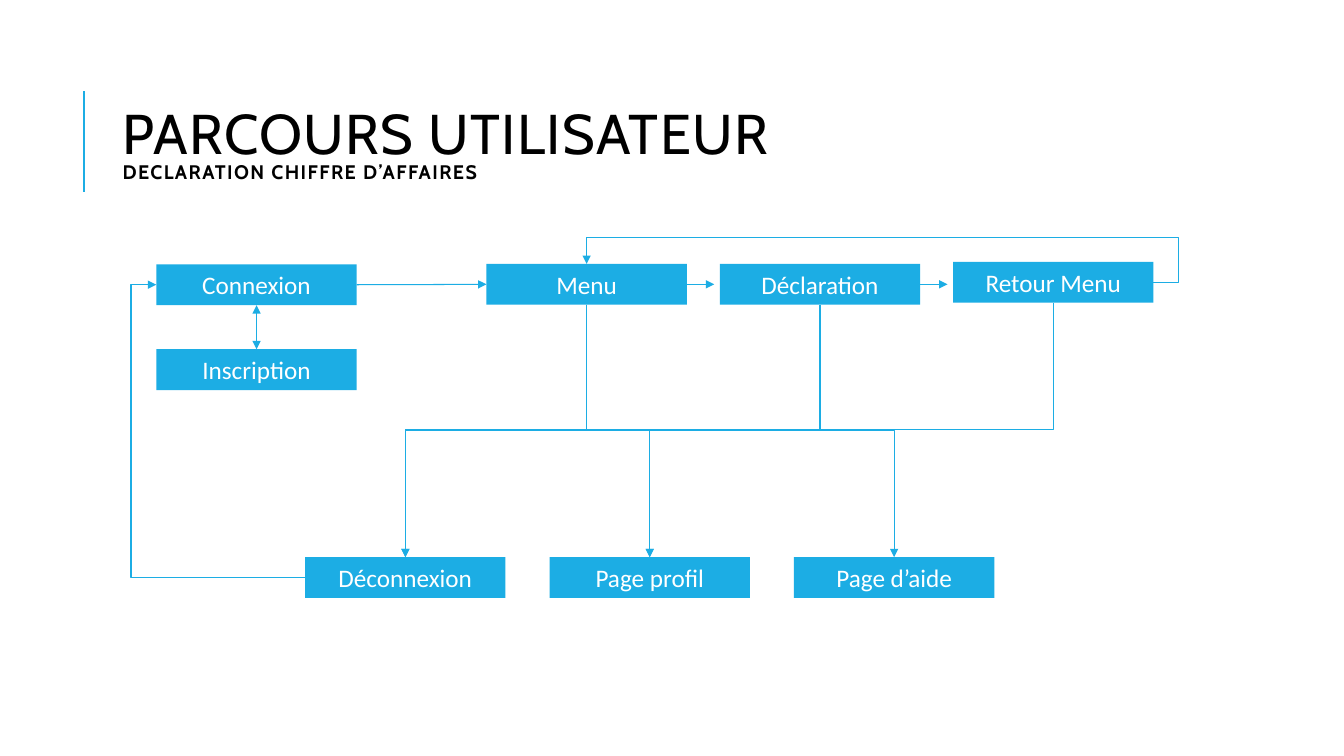
from lxml.etree import SubElement
from pptx import Presentation
from pptx.dml.color import RGBColor
from pptx.enum.shapes import MSO_CONNECTOR, MSO_SHAPE
from pptx.enum.text import MSO_ANCHOR, PP_ALIGN
from pptx.oxml.ns import qn
from pptx.util import Cm, Pt

BLUE = RGBColor(0x1C, 0xAD, 0xE4)
BLACK = RGBColor(0, 0, 0)
WHITE = RGBColor(0xFF, 0xFF, 0xFF)
TOP, LEFT, BOTTOM, RIGHT = range(4)
STEP_WIDTH, STEP_HEIGHT = Cm(5.05), Cm(1.03)

presentation = Presentation()
presentation.slide_width = Cm(33.87)
presentation.slide_height = Cm(19.05)
slide = presentation.slides.add_slide(presentation.slide_layouts[6])


def style_line(line, width=0.75, ends=()):
    line.line.color.rgb = BLUE
    line.line.width = Pt(width)
    for end in ends:
        SubElement(line.line._get_or_add_ln(), qn(f"a:{end}"), type="triangle")
    SubElement(line._element.spPr, qn("a:effectLst"))


def link(source, source_site, target, target_site, kind=MSO_CONNECTOR.STRAIGHT,
         ends=("tailEnd",)):
    connector = slide.shapes.add_connector(kind, 0, 0, 0, 0)
    connector.begin_connect(source, source_site)
    connector.end_connect(target, target_site)
    style_line(connector, ends=ends)
    return connector


accent = slide.shapes.add_connector(
    MSO_CONNECTOR.STRAIGHT, Cm(2.12), Cm(4.83), Cm(2.12), Cm(2.29))
style_line(accent, 1.5)

heading = slide.shapes.add_textbox(Cm(2.84), Cm(1.63), Cm(27), Cm(4.17)).text_frame
heading.word_wrap = True
heading.vertical_anchor = MSO_ANCHOR.MIDDLE
heading_lines = heading.paragraphs[0]
heading_lines.line_spacing = 0.8
for text, size, bold in [
    ("PARCOURS UTILISATEUR", 40, False),
    ("DECLARATION CHIFFRE D’AFFAIRES", 14, True),
]:
    if heading_lines.runs:
        heading_lines.add_line_break()
    run = heading_lines.add_run()
    run.text = text
    run.font.name = "Cabin"
    run.font.size = Pt(size)
    run.font.bold = bold
    run.font.color.rgb = BLACK
    run.font._element.set("spc", "100")

steps = {}
for name, left, top in [
    ("Connexion", 3.94, 6.66),
    ("Inscription", 3.94, 8.8),
    ("Menu", 12.26, 6.65),
    ("Déclaration", 18.14, 6.65),
    ("Retour Menu", 24.02, 6.6),
    ("Déconnexion", 7.69, 14.04),
    ("Page profil", 13.85, 14.04),
    ("Page d’aide", 20.01, 14.04),
]:
    step = slide.shapes.add_shape(
        MSO_SHAPE.RECTANGLE, Cm(left), Cm(top), STEP_WIDTH, STEP_HEIGHT)
    step.shadow.inherit = False
    step.fill.solid()
    step.fill.fore_color.rgb = BLUE
    step.line.fill.background()
    step.text_frame.word_wrap = True
    step.text_frame.vertical_anchor = MSO_ANCHOR.TOP
    label = step.text_frame.paragraphs[0]
    label.alignment = PP_ALIGN.CENTER
    run = label.add_run()
    run.text = name
    run.font.name = "Calibri"
    run.font.size = Pt(18)
    run.font.color.rgb = WHITE
    steps[name] = step

link(steps["Connexion"], RIGHT, steps["Menu"], LEFT)
link(steps["Inscription"], TOP, steps["Connexion"], BOTTOM, ends=("headEnd", "tailEnd"))

for name in ["Menu", "Déclaration"]:
    step = steps[name]
    start, level = step.left + step.width, step.top + step.height // 2
    arrow = slide.shapes.add_connector(
        MSO_CONNECTOR.STRAIGHT, start, level, start + Cm(0.69), level)
    arrow.begin_connect(step, RIGHT)
    style_line(arrow, ends=("tailEnd",))

for source, target in [
    ("Menu", "Déconnexion"),
    ("Menu", "Page profil"),
    ("Menu", "Page d’aide"),
    ("Déclaration", "Page profil"),
    ("Retour Menu", "Déconnexion"),
]:
    branch = link(steps[source], BOTTOM, steps[target], TOP, MSO_CONNECTOR.ELBOW)
    across = branch.end_x - branch.begin_x
    down = branch.end_y - branch.begin_y
    middle_x = (branch.begin_x + branch.end_x) // 2
    middle_y = (branch.begin_y + branch.end_y) // 2
    branch.left, branch.top = middle_x - down // 2, middle_y - abs(across) // 2
    branch.width, branch.height = down, abs(across)
    frame = branch._element.spPr.xfrm
    frame.flipH = across > 0
    frame.rot = 270 if across > 0 else 90

for source, source_site, target, target_site, preset, bends in [
    ("Déconnexion", LEFT, "Connexion", LEFT, "bentConnector3", [117000]),
    ("Retour Menu", RIGHT, "Menu", TOP, "bentConnector4", [-4400, 243000]),
]:
    loop = link(steps[source], source_site, steps[target], target_site,
                MSO_CONNECTOR.ELBOW)
    geometry = loop._element.spPr.find(qn("a:prstGeom"))
    geometry.set("prst", preset)
    adjustments = geometry.find(qn("a:avLst"))
    for number, bend in enumerate(bends, 1):
        SubElement(adjustments, qn("a:gd"), name=f"adj{number}", fmla=f"val {bend}")

presentation.save("out.pptx")
